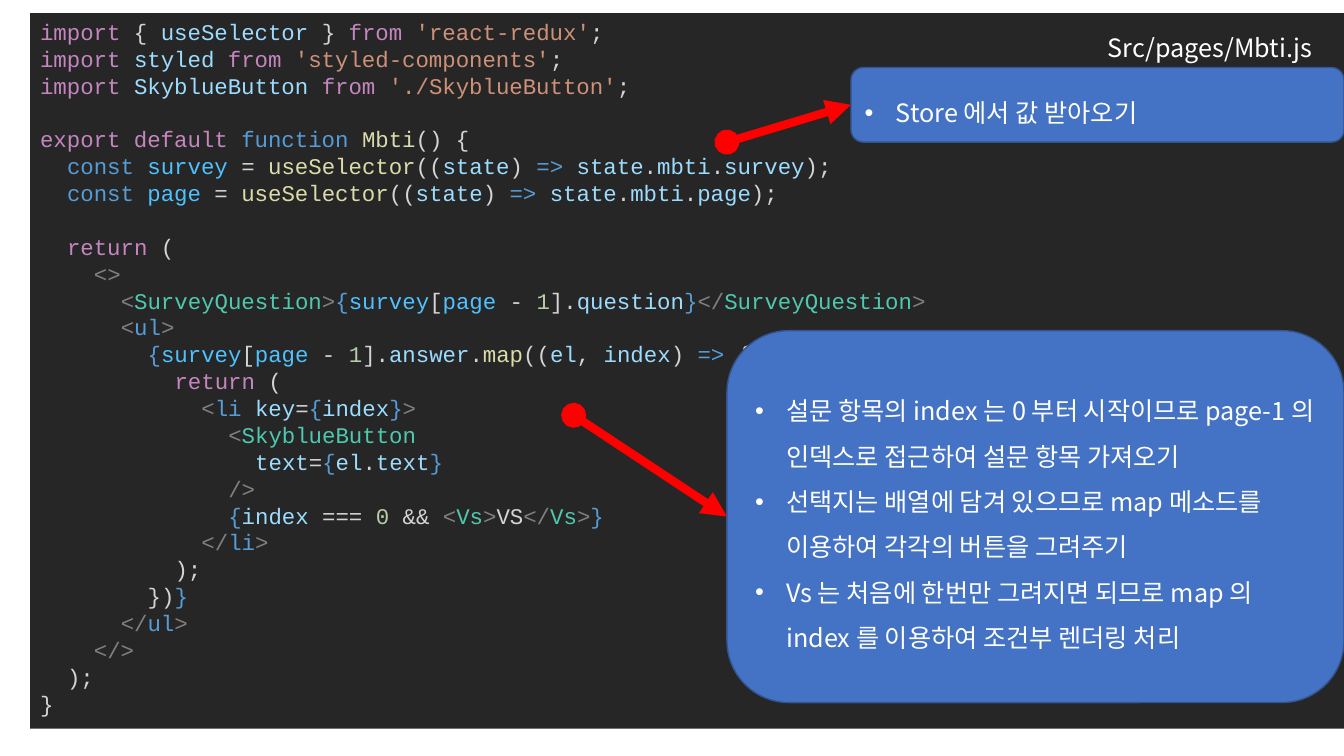
from lxml import etree
from pptx import Presentation
from pptx import util as u
from pptx.dml import color
from pptx.enum import shapes, text
from pptx.oxml import ns

COLORS = {
    "panel": "262626", "callout": "4472C4", "outline": "325491", "arrow": "FF0000", "white": "FFFFFF",
    "K": "C586C0", "P": "D4D4D4", "V": "9CDCFE", "S": "CE9178", "B": "569CD6",
    "F": "DCDCAA", "C": "4FC1FF", "G": "808080", "T": "4EC9B0", "N": "B5CEA8",
}
CODE_LINES = [
    (0, 0, "Kimport|P { |VuseSelector|P } |Kfrom |S'react-redux'|P;"),
    (0, 0, "Kimport |Vstyled |Kfrom |S'styled-components'|P;"),
    (0, 0, "Kimport |VSkyblueButton |Kfrom |S'./SkyblueButton'|P;"),
    (0, 1, "Kexport default |Bfunction |FMbti|P() {"),
    (1, 0, "Bconst |Csurvey|P = |FuseSelector|P((|Vstate|P) |B=> |Vstate|P.|Vmbti|P.|Vsurvey|P);"),
    (1, 0, "Bconst |Cpage|P = |FuseSelector|P((|Vstate|P) |B=> |Vstate|P.|Vmbti|P.|Vpage|P);"),
    (1, 1, "Kreturn|P ("),
    (2, 0, "G<>"),
    (3, 0, "G<|TSurveyQuestion|G>|B{|Csurvey|P[|Cpage|P - |N1|P].|Vquestion|B}|G</|TSurveyQuestion|G>"),
    (3, 0, "G<|Bul|G>"),
    (4, 0, "B{|Csurvey|P[|Cpage|P - |N1|P].|Vanswer|P.|Fmap|P((|Vel|P, |Vindex|P) |B=>|P {"),
    (5, 0, "Kreturn|P ("),
    (6, 0, "G<|Bli |Vkey|P=|B{|Vindex|B}|G>"),
    (7, 0, "G<|TSkyblueButton"),
    (8, 0, "Vtext|P=|B{|Vel|P.|Vtext|B}"),
    (7, 0, "G/>"),
    (7, 0, "B{|Vindex|P === |N0|P && |G<|TVs|G>|PVS|G</|TVs|G>|B}"),
    (6, 0, "G</|Bli|G>"),
    (5, 0, "P);"),
    (4, 0, "P})|B}"),
    (3, 0, "G</|Bul|G>"),
    (2, 0, "G</>"),
    (1, 0, "P);"),
    (0, 0, "P}"),
]
CALLOUTS = [
    ((8.44, 0.67, 4.89, 0.74), (7.21, 1.41), ["Store 에서 값 받아오기"]),
    ((7.21, 3.28, 6.12, 3.69), (5.69, 4.12), [
        "설문 항목의 index 는 0 부터 시작이므로 page-1 의 인덱스로 접근하여 설문 항목 가져오기",
        "선택지는 배열에 담겨 있으므로 map 메소드를 이용하여 각각의 버튼을 그려주기",
        "Vs 는 처음에 한번만 그려지면 되므로 map 의 index 를 이용하여 조건부 렌더링 처리",
    ]),
]
CODE_FONT = {"name": "Courier New", "size": u.Pt(16)}
NOTE_FONT = {"name": "Noto Sans CJK KR", "size": u.Pt(18)}
CODE_PITCH = u.Pt(19.2)


def add_run(paragraph, words, font_values, color_key):
    run = paragraph.add_run()
    run.text = words
    for name, value in font_values.items():
        setattr(run.font, name, value)
    run.font.color.rgb = color.RGBColor.from_string(COLORS[color_key])
    latin = run.font._element.find(ns.qn("a:latin"))
    east_asian = etree.Element(ns.qn("a:ea"), typeface=font_values["name"])
    latin.addnext(east_asian)


def add_box(kind, bounds, fill_key, frame_values):
    shape = slide.shapes.add_shape(kind, *[u.Inches(value) for value in bounds])
    shape.shadow.inherit = False
    shape.fill.solid()
    shape.fill.fore_color.rgb = color.RGBColor.from_string(COLORS[fill_key])
    for name, value in frame_values.items():
        setattr(shape.text_frame, name, value)
    return shape


presentation = Presentation()
presentation.slide_width = u.Inches(13.33)
presentation.slide_height = u.Inches(7.5)
slide = presentation.slides.add_slide(presentation.slide_layouts[6])

code_panel = add_box(shapes.MSO_SHAPE.RECTANGLE, (0.3, 0.13, 13.03, 7.1), "panel", {
    "word_wrap": True,
    "vertical_anchor": text.MSO_ANCHOR.TOP,
    "auto_size": text.MSO_AUTO_SIZE.SHAPE_TO_FIT_TEXT,
})
code_panel.line.fill.background()
for number, (depth, gap, tokens) in enumerate(CODE_LINES):
    frame = code_panel.text_frame
    paragraph = frame.add_paragraph() if number else frame.paragraphs[0]
    paragraph_format = {
        "alignment": text.PP_ALIGN.LEFT,
        "line_spacing": CODE_PITCH,
        "space_before": CODE_PITCH * gap,
    }
    for name, value in paragraph_format.items():
        setattr(paragraph, name, value)
    paragraph._p.get_or_add_pPr().set("marL", str(u.Inches(depth * 0.8 / 3)))
    for token in tokens.split("|"):
        add_run(paragraph, token[1:], CODE_FONT, token[0])

file_label = slide.shapes.add_textbox(u.Inches(10.89), u.Inches(0.27), u.Inches(2.32), u.Inches(0.4))
file_label.text_frame.word_wrap = False
file_label.text_frame.auto_size = text.MSO_AUTO_SIZE.SHAPE_TO_FIT_TEXT
add_run(file_label.text_frame.paragraphs[0], "Src/pages/Mbti.js", NOTE_FONT, "white")

for bounds, start, notes in CALLOUTS:
    callout = add_box(shapes.MSO_SHAPE.ROUNDED_RECTANGLE, bounds, "callout", {
        "word_wrap": True,
        "vertical_anchor": text.MSO_ANCHOR.MIDDLE,
    })
    callout.line.color.rgb = color.RGBColor.from_string(COLORS["outline"])
    callout.line.width = u.Pt(1)
    for number, note in enumerate(notes):
        frame = callout.text_frame
        paragraph = frame.add_paragraph() if number else frame.paragraphs[0]
        paragraph.alignment = text.PP_ALIGN.LEFT
        paragraph.line_spacing = 1.5
        properties = paragraph._p.get_or_add_pPr()
        properties.set("marL", str(u.Inches(0.31)))
        properties.set("indent", str(-u.Inches(0.31)))
        etree.SubElement(properties, ns.qn("a:buFont"), typeface="Arial")
        etree.SubElement(properties, ns.qn("a:buChar"), char="•")
        add_run(paragraph, note, NOTE_FONT, "white")

    left, top, width, height = bounds
    ends = [u.Inches(value) for value in (*start, left, top + height / 2)]
    arrow = slide.shapes.add_connector(shapes.MSO_CONNECTOR.STRAIGHT, *ends)
    arrow.end_connect(callout, 1)
    arrow.line.color.rgb = color.RGBColor.from_string(COLORS["arrow"])
    arrow.line.width = u.Pt(6)
    line = arrow.line._get_or_add_ln()
    etree.SubElement(line, ns.qn("a:headEnd"), type="oval")
    etree.SubElement(line, ns.qn("a:tailEnd"), type="triangle")
    etree.SubElement(arrow._element.spPr, ns.qn("a:effectLst"))

presentation.save("out.pptx")
